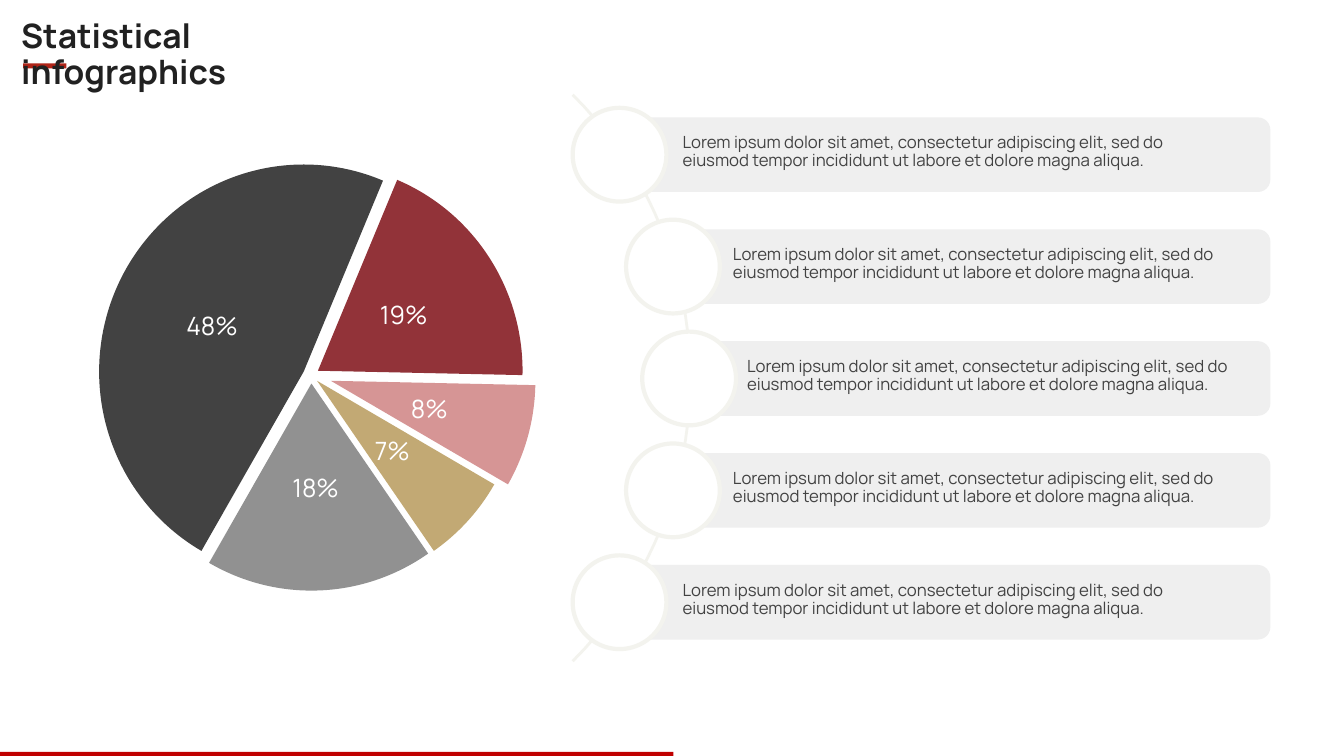
"""Build the statistical infographics slide: a pie chart and five notes on an arc."""
from lxml import etree
from pptx import Presentation
from pptx.chart.data import CategoryChartData
from pptx.dml.color import RGBColor
from pptx.enum.chart import XL_CHART_TYPE as ChartType, XL_LABEL_POSITION as LabelPosition
from pptx.enum.shapes import MSO_SHAPE as Shape
from pptx.enum.text import MSO_AUTO_SIZE as AutoSize
from pptx.oxml.ns import qn
from pptx.util import Inches, Pt

FONT = "Manrope"
TITLE = "Statistical infographics"
NOTE = ("Lorem ipsum dolor sit amet, consectetur adipiscing elit, sed do "
        "eiusmod tempor incididunt ut labore et dolore magna aliqua.")
SLICES = [
    ("1", 48, "424242", 4),
    ("2", 19, "923339", 4),
    ("3", 8, "D69595", 10),
    ("4", 7, "C2A974", 4),
    ("5", 18, "919191", 4),
]
FIRST_ANGLE = 210
PLOT_AREA = {"layoutTarget": "inner", "xMode": "edge", "yMode": "edge",
             "x": 0.027, "y": 0.027, "w": 0.947, "h": 0.934}
NOTE_LEFTS = [(5.68, 6.72), (6.21, 7.22), (6.37, 7.36), (6.21, 7.22), (5.68, 6.72)]
NOTE_TOP, NOTE_PITCH, CIRCLE, BAR_HEIGHT, BAR_RIGHT = 1.07, 1.11, 0.93, 0.74, 12.6
ARC_OUTER = [(5.69, 0.93), (7.25, 2.49), (7.25, 5.01), (5.69, 6.57)]
ARC_INNER = [(5.67, 6.55), (7.22, 5), (7.22, 2.5), (5.67, 0.95)]
ARC_STEPS = 40


def color(value):
    return RGBColor.from_string(value)


def style_font(font, size, value, bold=False):
    formats = {"name": FONT, "size": Pt(size), "bold": bold}
    for name, setting in formats.items():
        setattr(font, name, setting)
    font.color.rgb = color(value)


def paint(shape, fill, line=None, width=3):
    shape.shadow.inherit = False
    shape.fill.solid()
    shape.fill.fore_color.rgb = color(fill)
    if line:
        shape.line.color.rgb = color(line)
        shape.line.width = Pt(width)
    else:
        shape.line.fill.background()


def add_shape(slide, kind, box, fill, line=None):
    shape = slide.shapes.add_shape(kind, *map(Inches, box))
    paint(shape, fill, line)
    return shape


def add_text(slide, box, text, inset, size, value, bold=False):
    frame = slide.shapes.add_textbox(*map(Inches, box)).text_frame
    formats = {"word_wrap": True, "auto_size": AutoSize.SHAPE_TO_FIT_TEXT}
    for side in ("left", "right", "top", "bottom"):
        formats["margin_" + side] = Inches(inset)
    for name, setting in formats.items():
        setattr(frame, name, setting)
    paragraph = frame.paragraphs[0]
    paragraph.line_spacing = 0.9
    run = paragraph.add_run()
    run.text = text
    style_font(run.font, size, value, bold)


def curve(controls):
    points = []
    for step in range(ARC_STEPS + 1):
        t = step / ARC_STEPS
        weights = ((1 - t) ** 3, 3 * t * (1 - t) ** 2, 3 * t * t * (1 - t), t ** 3)
        points.append(tuple(Inches(sum(w * p[axis] for w, p in zip(weights, controls)))
                            for axis in (0, 1)))
    return points


def add_arc(slide):
    points = curve(ARC_OUTER) + curve(ARC_INNER)
    builder = slide.shapes.build_freeform(*points[0], scale=1.0)
    builder.add_line_segments(points[1:], close=True)
    paint(builder.convert_to_shape(), "F3F3EE")


def add_pie(slide):
    data = CategoryChartData()
    data.categories = [name for name, *_ in SLICES]
    data.add_series("Series 1", [value for _, value, *_ in SLICES])
    box = map(Inches, (0.91, 1.55, 4.4, 4.4))
    chart = slide.shapes.add_chart(ChartType.PIE, *box, data).chart
    chart.has_legend = chart.has_title = False
    style_font(chart.font, 10, "000000")

    plot = chart.plots[0]
    plot.vary_by_categories = True
    series = plot.series[0]
    for index, (_, _, fill, explosion) in enumerate(SLICES):
        point = series.points[index]
        point.format.fill.solid()
        point.format.fill.fore_color.rgb = color(fill)
        point.format.line.fill.background()
    for part, (*_, explosion) in zip(series._element.findall(qn("c:dPt")), SLICES):
        offset = etree.Element(qn("c:explosion"), val=str(explosion))
        part.find(qn("c:spPr")).addprevious(offset)

    labels = series.data_labels
    formats = {"show_percentage": True, "show_value": False, "number_format": "0%",
               "number_format_is_linked": False, "position": LabelPosition.CENTER}
    for name, setting in formats.items():
        setattr(labels, name, setting)
    style_font(labels.font, 18, "FFFFFF")

    pie = plot._element
    for angle in pie.findall(qn("c:firstSliceAng")):
        pie.remove(angle)
    etree.SubElement(pie, qn("c:firstSliceAng"), val=str(FIRST_ANGLE))
    area = pie.getparent()
    for layout in area.findall(qn("c:layout")):
        area.remove(layout)
    layout = etree.Element(qn("c:layout"))
    area.insert(0, layout)
    manual = etree.SubElement(layout, qn("c:manualLayout"))
    for name, setting in PLOT_AREA.items():
        etree.SubElement(manual, qn("c:" + name), val=str(setting))


def add_notes(slide):
    for row, (circle_left, text_left) in enumerate(NOTE_LEFTS):
        top = NOTE_TOP + row * NOTE_PITCH
        bar_left = circle_left + CIRCLE / 2
        bar_box = (bar_left, top + (CIRCLE - BAR_HEIGHT) / 2, BAR_RIGHT - bar_left, BAR_HEIGHT)
        bar = add_shape(slide, Shape.ROUNDED_RECTANGLE, bar_box, "EFEFEF")
        bar.adjustments[0] = 0.167
        add_shape(slide, Shape.OVAL, (circle_left, top, CIRCLE, CIRCLE), "FFFFFF", "F3F3EE")
        add_text(slide, (text_left, top + 0.21, 5.24, 0.49), NOTE, 0.05, 12, "424242")


def main():
    presentation = Presentation()
    presentation.slide_width, presentation.slide_height = Inches(13.33), Inches(7.5)
    slide = presentation.slides.add_slide(presentation.slide_layouts[6])
    add_pie(slide)
    add_arc(slide)
    add_notes(slide)
    add_shape(slide, Shape.RECTANGLE, (0, 7.46, 6.68, 0.04), "C00000")
    add_shape(slide, Shape.RECTANGLE, (0.23, 0.63, 0.43, 0.05), "B02418")
    add_text(slide, (0.21, 0.19, 3.67, 0.4), TITLE, 0, 24, "212121", bold=True)
    presentation.save("out.pptx")


if __name__ == "__main__":
    main()
